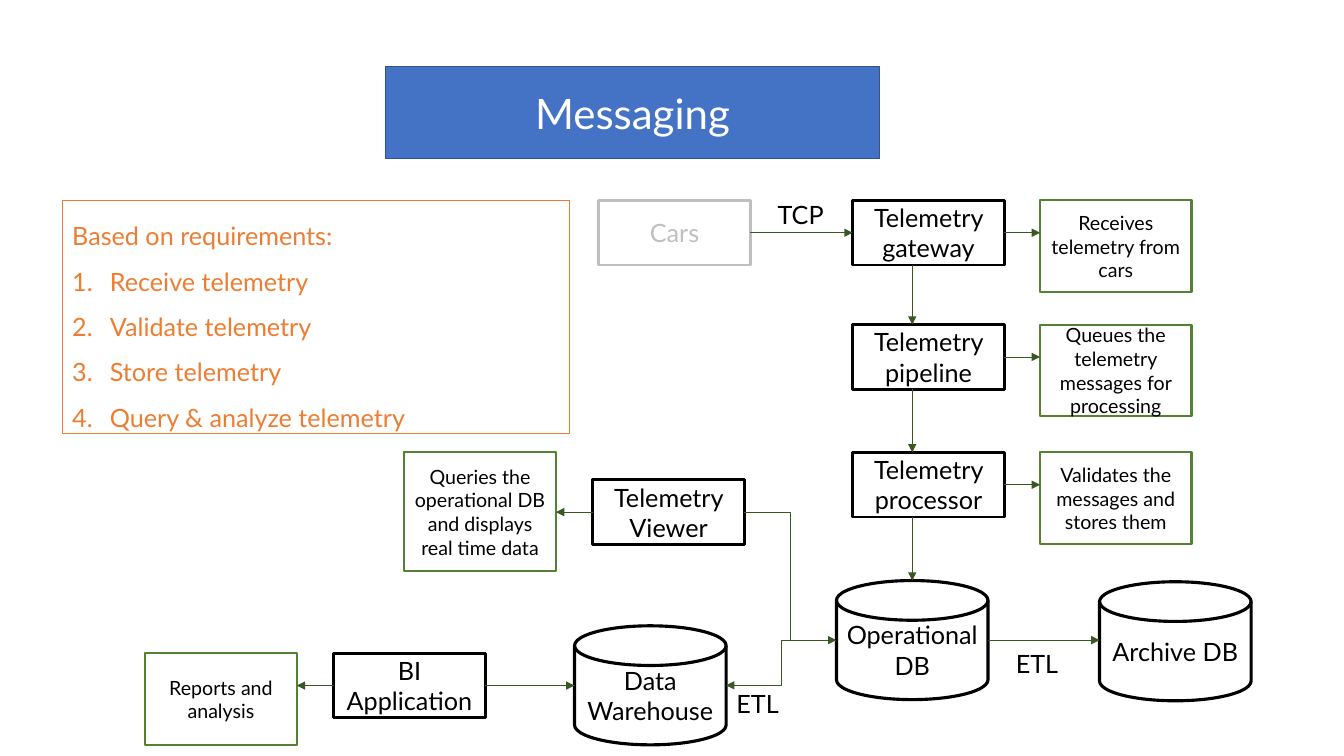
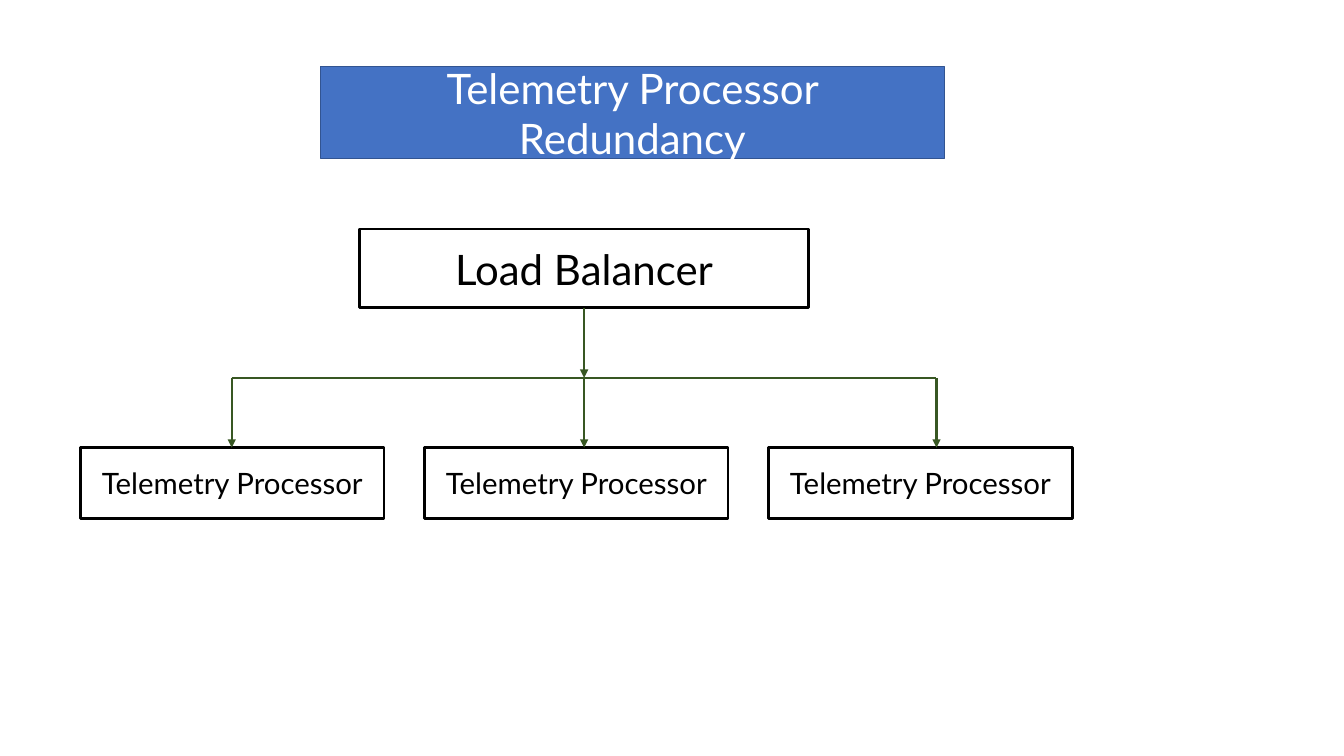
from dataclasses import dataclass

from pptx import Presentation
from pptx.dml.color import RGBColor
from pptx.enum.shapes import MSO_CONNECTOR as Link, MSO_SHAPE as Preset
from pptx.enum.text import MSO_ANCHOR as Anchor, PP_ALIGN as Align
from pptx.oxml.ns import qn
from pptx.util import Cm, Pt


@dataclass(frozen=True)
class Theme:
    font: str = "Lato"
    black: RGBColor = RGBColor.from_string("000000")
    white: RGBColor = RGBColor.from_string("FFFFFF")
    gray: RGBColor = RGBColor.from_string("BFBFBF")
    blue: RGBColor = RGBColor.from_string("4472C4")
    dark_blue: RGBColor = RGBColor.from_string("325491")
    orange: RGBColor = RGBColor.from_string("ED7D31")
    green: RGBColor = RGBColor.from_string("548235")
    dark_green: RGBColor = RGBColor.from_string("385723")
    heading_size: int = 30
    processor_size: int = 21
    body_size: int = 18
    note_size: int = 14


theme = Theme()


def add_text(slide, text, left, top, width, height, *, preset=None, fill=None,
             line=None, line_width=2, size=theme.body_size, color=theme.black,
             align=Align.CENTER, anchor=Anchor.MIDDLE, spacing=None, numbered=False):
    """Add text in a preset shape, or in a text box if preset is None; sizes in cm.

    With numbered, every line of the text after the first is a list item.
    """
    frame = [Cm(length) for length in (left, top, width, height)]
    if preset is None:
        shape = slide.shapes.add_textbox(*frame)
    else:
        shape = slide.shapes.add_shape(preset, *frame)
        shape.shadow.inherit = False
        if fill is None:
            shape.fill.background()
        else:
            shape.fill.solid()
            shape.fill.fore_color.rgb = fill
        shape.line.color.rgb = line
        shape.line.width = Pt(line_width)

    text_frame = shape.text_frame
    text_frame.word_wrap = True
    text_frame.vertical_anchor = anchor
    text_frame.text = text
    for index, paragraph in enumerate(text_frame.paragraphs):
        if numbered and index > 0:
            properties = paragraph._p.get_or_add_pPr()
            properties.set("marL", str(Cm(0.95)))
            properties.set("indent", str(-Cm(0.95)))
            number = properties.makeelement(qn("a:buAutoNum"), {"type": "arabicPeriod"})
            properties.append(number)
        paragraph.alignment = align
        if spacing is not None:
            paragraph.line_spacing = spacing
        paragraph.font.name = theme.font
        paragraph.font.size = Pt(size)
        paragraph.font.color.rgb = color
    return shape


def add_link(slide, start, end, *, kind=Link.STRAIGHT, width=0.5, arrow=True):
    """Join two (x, y) points, with an arrowhead at the end."""
    connector = slide.shapes.add_connector(kind, *start, *end)
    connector.line.color.rgb = theme.dark_green
    connector.line.width = Pt(width)
    outline = connector.get_or_add_ln()
    if arrow:
        outline.append(outline.makeelement(qn("a:tailEnd"), {"type": "triangle"}))
    outline.addnext(outline.makeelement(qn("a:effectLst"), {}))


presentation = Presentation()
presentation.slide_width = Cm(33.87)
presentation.slide_height = Cm(19.05)

# Shared heading
banner_center = 15.94
slides = []
for heading, banner_width in [("Messaging", 12.45),
                              ("Telemetry Processor Redundancy", 15.72)]:
    slide = presentation.slides.add_slide(presentation.slide_layouts[6])
    add_text(slide, heading, banner_center - banner_width / 2, 1.68, banner_width, 2.31,
             preset=Preset.RECTANGLE, fill=theme.blue, line=theme.dark_blue,
             line_width=1, size=theme.heading_size, color=theme.white)
    slides.append(slide)
messaging, redundancy = slides

# Messaging: requirements
requirements = ["Based on requirements:", "Receive telemetry", "Validate telemetry",
                "Store telemetry", "Query & analyze telemetry"]
add_text(messaging, "\n".join(requirements), 1.57, 5.05, 12.78, 5.87,
         preset=Preset.RECTANGLE, line=theme.orange, line_width=0.75,
         color=theme.orange, align=Align.LEFT, anchor=Anchor.TOP, spacing=1.5,
         numbered=True)

# Messaging: services, databases and notes
node_width, service_height, note_height, tall_height = 3.82, 1.63, 2.31, 3
service_format = dict(preset=Preset.RECTANGLE, line=theme.black)
database_format = dict(preset=Preset.FLOWCHART_MAGNETIC_DISK, line=theme.black,
                       line_width=2.25)
note_format = dict(preset=Preset.RECTANGLE, line=theme.green, line_width=1.5,
                   size=theme.note_size)

nodes = {}
for name, left, top in [
    ("Telemetry gateway", 21.49, 5.05),
    ("Telemetry pipeline", 21.49, 8.18),
    ("Telemetry processor", 21.49, 11.4),
    ("Telemetry Viewer", 14.94, 12.09),
    ("BI Application", 8.41, 16.46),
]:
    nodes[name] = add_text(messaging, name, left, top, node_width, service_height,
                           **service_format)
for name, left, top in [
    ("Operational DB", 21.08, 14.63),
    ("Data Warehouse", 14.48, 15.77),
    ("Archive DB", 27.71, 14.66),
]:
    nodes[name] = add_text(messaging, name, left, top, node_width, tall_height,
                           **database_format)
nodes["Cars"] = add_text(messaging, "Cars", 15.09, 5.05, node_width, service_height,
                         preset=Preset.RECTANGLE, line=theme.gray, color=theme.gray)

straight_links = [("Cars", "Telemetry gateway"), ("BI Application", "Data Warehouse"),
                  ("Operational DB", "Archive DB")]
for service, note, left, top, height in [
    ("Telemetry gateway", "Receives telemetry from cars", 26.21, 5.05, note_height),
    ("Telemetry pipeline", "Queues the telemetry messages for processing",
     26.21, 8.18, note_height),
    ("Telemetry processor", "Validates the messages and stores them",
     26.21, 11.4, note_height),
    ("Telemetry Viewer", "Queries the operational DB and displays real time data",
     10.19, 11.4, tall_height),
    ("BI Application", "Reports and analysis", 3.66, 16.46, note_height),
]:
    nodes[note] = add_text(messaging, note, left, top, node_width, height, **note_format)
    straight_links.append((service, note))

# Messaging: links
sides = {}
for name, node in nodes.items():
    middle = node.top + node.height // 2
    sides[name] = (node.left, middle), (node.left + node.width, middle)

for source, target in straight_links:
    source_left, source_right = sides[source]
    target_left, target_right = sides[target]
    if target_left > source_left:
        start, end_x = source_right, target_left[0]
    else:
        start, end_x = source_left, target_right[0]
    add_link(messaging, start, (end_x, start[1]))

operational = nodes["Operational DB"]
flow_x = operational.left + operational.width // 2
flow = [nodes[name] for name in ("Telemetry gateway", "Telemetry pipeline",
                                 "Telemetry processor", "Operational DB")]
for upper, lower in zip(flow, flow[1:]):
    add_link(messaging, (flow_x, upper.top + upper.height), (flow_x, lower.top))

operational_left = sides["Operational DB"][0]
warehouse_right = sides["Data Warehouse"][1]
add_link(messaging, sides["Telemetry Viewer"][1], operational_left, kind=Link.ELBOW)
add_link(messaging, operational_left, warehouse_right, kind=Link.ELBOW)

for label, left, top in [("TCP", 19.35, 4.9), ("ETL", 25.35, 16.2), ("ETL", 18.31, 17.22)]:
    add_text(messaging, label, left, top, 2.11, 1.02, align=Align.LEFT, anchor=Anchor.TOP)

# Redundancy: one balancer above three processors
balancer_center, balancer_width = 14.72, 11.3
balancer_top, balancer_bottom = 5.77, 7.75
bus_y, processor_top, drop_gap = 9.52, 11.28, 8.88
add_text(redundancy, "Load Balancer", balancer_center - balancer_width / 2, balancer_top,
         balancer_width, balancer_bottom - balancer_top, size=theme.heading_size,
         **service_format)
for index in range(3):
    add_text(redundancy, "Telemetry Processor", 2.03 + index * 8.67, processor_top,
             7.65, 1.78, size=theme.processor_size, **service_format)
    drop_x = Cm(balancer_center + (index - 1) * drop_gap)
    add_link(redundancy, (drop_x, Cm(bus_y)), (drop_x, Cm(processor_top)), width=1.5)
add_link(redundancy, (Cm(balancer_center), Cm(balancer_bottom)),
         (Cm(balancer_center), Cm(bus_y)), width=1.5)
add_link(redundancy, (Cm(balancer_center - drop_gap), Cm(bus_y)),
         (Cm(balancer_center + drop_gap), Cm(bus_y)), width=1.5, arrow=False)

presentation.save("out.pptx")
